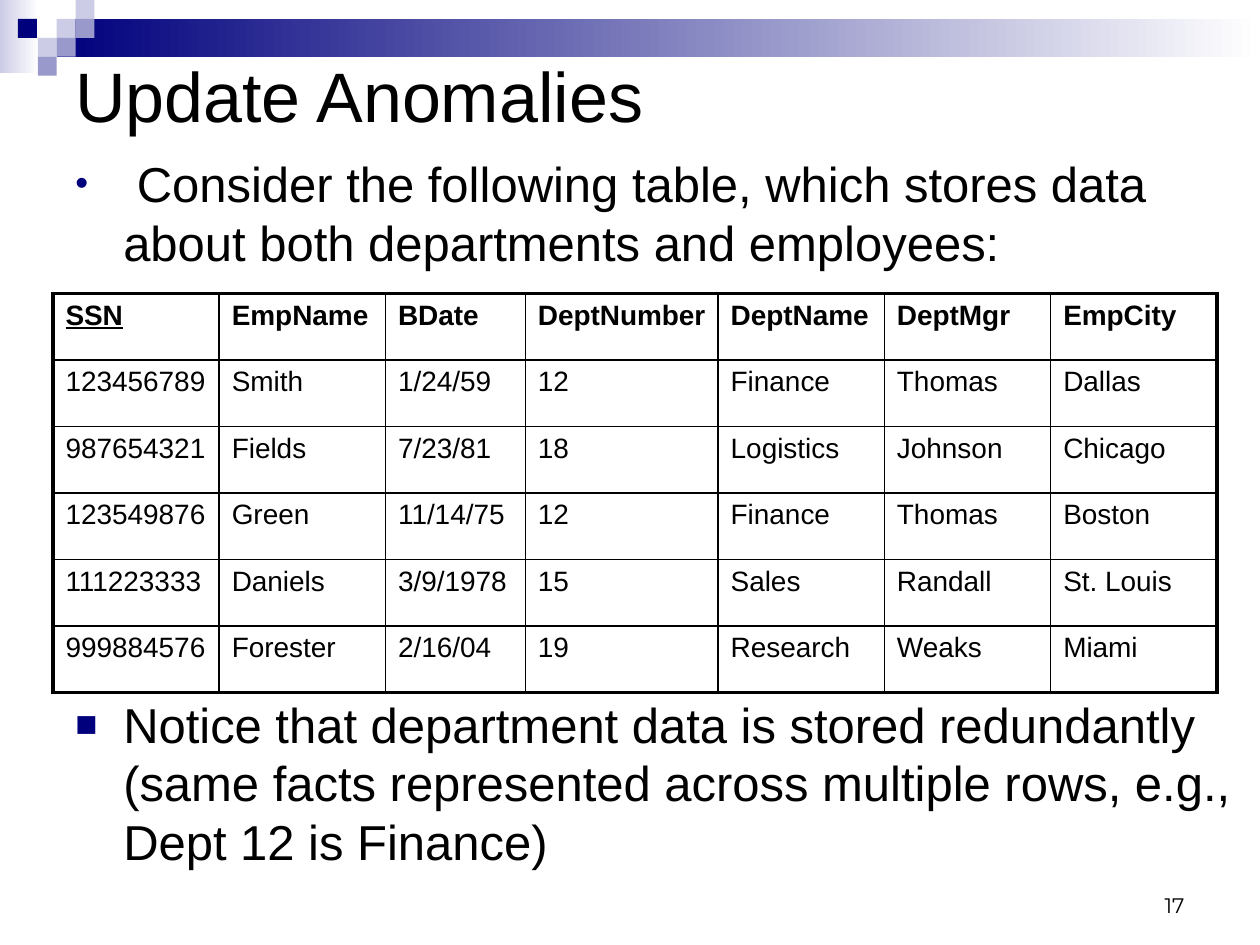
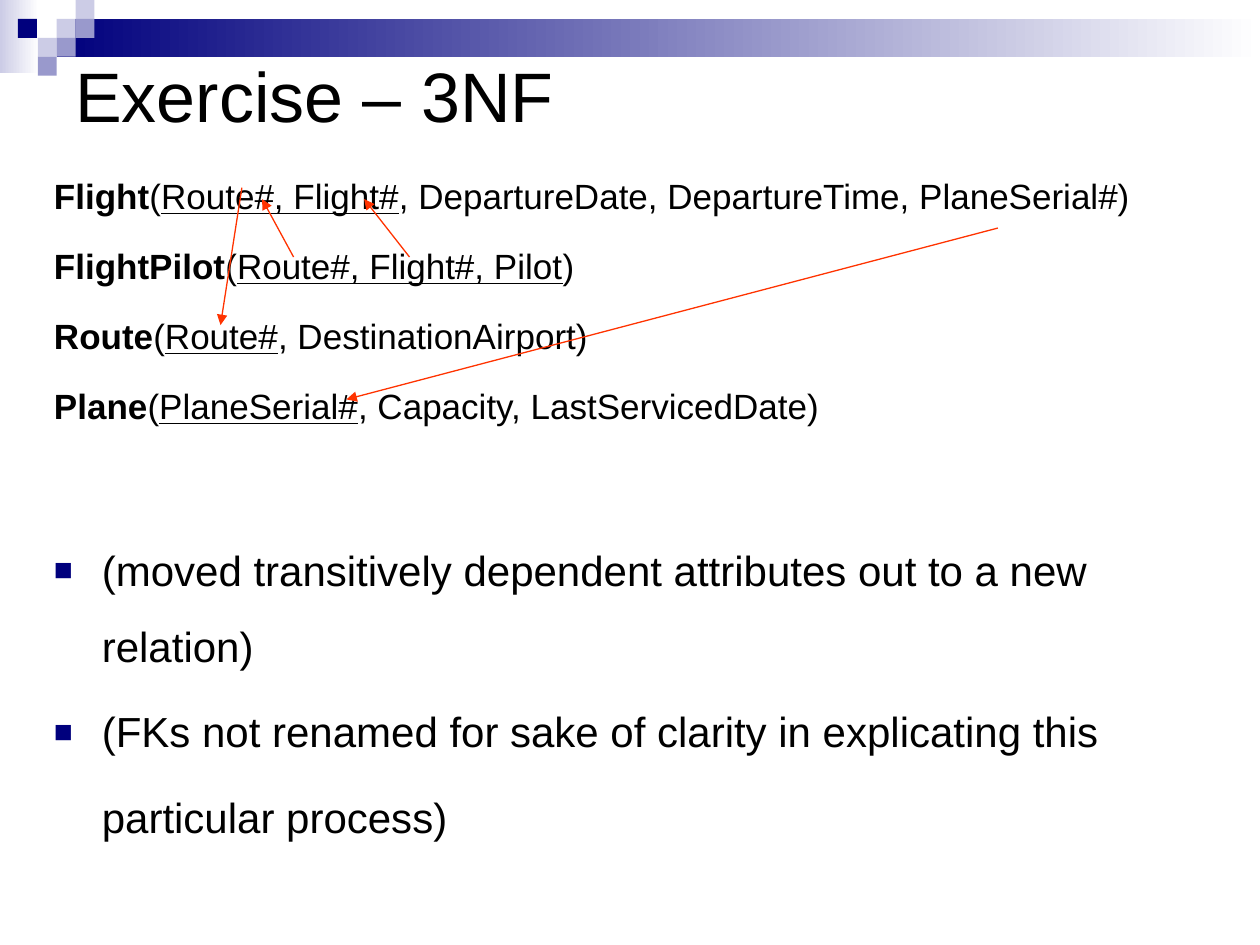
import pptx
import pptx.util
import pptx.dml.color
import pptx.enum.shapes
import pptx.enum.text
import pptx.oxml
import pptx.oxml.ns
from pptx.util import Inches

RGBColor = pptx.dml.color.RGBColor
BLACK = RGBColor(0, 0, 0)
WHITE = RGBColor(0xFF, 0xFF, 0xFF)
NAVY = RGBColor(0x00, 0x00, 0x7D)
LAVENDER = RGBColor(0x99, 0x99, 0xCC)
PALE = RGBColor(0xCC, 0xCC, 0xE6)
ARROW_RED = RGBColor(0xFF, 0x33, 0x00)

FONT = "Arial"
NUMBER_FONT = "Montserrat"
ANCHOR = pptx.enum.text.MSO_ANCHOR
ALIGN = pptx.enum.text.PP_ALIGN
TILE = 0.15
HANGING = Inches(0.38)


def add_element(parent, tag, **attributes):
    element = pptx.oxml.parse_xml(f"<a:{tag} {pptx.oxml.ns.nsdecls('a')}/>")
    for name, value in attributes.items():
        element.set(name, str(value))
    parent.append(element)
    return element


# ---- Text ----
def add_text_box(page, box, anchor=ANCHOR.TOP):
    frame = page.shapes.add_textbox(*map(Inches, box)).text_frame
    frame.word_wrap = True
    frame.vertical_anchor = anchor
    return frame


def add_paragraph(frame, first=False, line=None, before=0):
    para = frame.paragraphs[0] if first else frame.add_paragraph()
    para.space_before = pptx.util.Pt(before)
    if line:
        para.line_spacing = pptx.util.Pt(line)
    return para


def add_span(para, text, size, bold=False, underline=False, font=FONT):
    span = para.add_run()
    span.text = text
    span.font.size = pptx.util.Pt(size)
    span.font.name = font
    span.font.bold = bold
    span.font.underline = underline
    span.font.color.rgb = BLACK


def set_bullet(para, mark):
    properties = para._p.get_or_add_pPr()
    properties.set("marL", str(HANGING))
    properties.set("indent", str(-HANGING))
    color = add_element(properties, "buClr")
    add_element(color, "srgbClr", val=NAVY)
    add_element(properties, "buSzPct", val=75000)
    add_element(properties, "buFont", typeface=FONT)
    add_element(properties, "buChar", char=mark)


# ---- Shared header, title and page number ----
def add_block(page, box, *colors):
    block = page.shapes.add_shape(
        pptx.enum.shapes.MSO_SHAPE.RECTANGLE, *map(Inches, box))
    block.shadow.inherit = False
    block.line.fill.background()
    if len(colors) == 1:
        block.fill.solid()
        block.fill.fore_color.rgb = colors[0]
        return
    block.fill.gradient()
    block.fill.gradient_angle = 0
    for stop, position, color in zip(block.fill.gradient_stops, (0, 1), colors):
        stop.position = position
        stop.color.rgb = color


def add_header(page):
    add_block(page, (0, 0, 0.31, 0.58), PALE, WHITE)
    add_block(page, (0.45, TILE, 9.55, 2 * TILE), NAVY, WHITE)
    # Mosaic tiles as column, row and colour
    tiles = [(3, 1, PALE), (4, 0, PALE), (4, 1, LAVENDER), (2, 2, PALE),
             (0.95, 1, NAVY), (3, 2, LAVENDER), (2, 3, LAVENDER)]
    for column, row, color in tiles:
        add_block(page, (column * TILE, row * TILE, TILE, TILE), color)


def add_page(deck, title):
    page = deck.slides.add_slide(deck.slide_layouts[6])
    add_header(page)
    frame = add_text_box(page, (0.5, 0.5, 9, 0.5), ANCHOR.MIDDLE)
    add_span(add_paragraph(frame, first=True, line=48), title, 40)
    return page


def add_page_number(page, number):
    frame = add_text_box(page, (7.17, 6.83, 2.33, 0.5), ANCHOR.BOTTOM)
    para = add_paragraph(frame, first=True)
    para.alignment = ALIGN.RIGHT
    add_span(para, str(number), 12, font=NUMBER_FONT)


# ---- Employee table ----
def set_borders(cell, widths):
    properties = cell._tc.get_or_add_tcPr()
    for index, (side, width) in enumerate(widths.items()):
        line = pptx.oxml.parse_xml(
            f"<a:{side} {pptx.oxml.ns.nsdecls('a')} w='{pptx.util.Pt(width)}'>"
            f"<a:solidFill><a:srgbClr val='{BLACK}'/></a:solidFill></a:{side}>")
        properties.insert(index, line)


def add_employee_table(page, box, widths, rows):
    graphic = page.shapes.add_table(len(rows), len(widths), *map(Inches, box))
    table = graphic.table
    table.horz_banding = False
    for column, width in zip(table.columns, widths):
        column.width = Inches(width)
    last_row, last_column = len(rows) - 1, len(widths) - 1
    for r, values in enumerate(rows):
        table.rows[r].height = Inches(box[3] / len(rows))
        for c, value in enumerate(values):
            cell = table.cell(r, c)
            cell.fill.background()
            para = add_paragraph(cell.text_frame, first=True)
            add_span(para, value, 16, bold=r == 0, underline=r == c == 0)
            outer = {"lnL": c == 0, "lnR": c == last_column,
                     "lnT": r == 0, "lnB": r == last_row}
            set_borders(cell, {side: 2.25 if edge else 1
                               for side, edge in outer.items()})


def add_bullet_box(page, box, mark, text):
    para = add_paragraph(add_text_box(page, box), first=True, line=33.6)
    set_bullet(para, mark)
    add_span(para, text, 28)


def build_anomalies(deck):
    page = add_page(deck, "Update Anomalies")
    add_bullet_box(page, (0.5, 1.17, 9.42, 1.1), "•",
                   " Consider the following table, which stores data "
                   "about both departments and employees:")
    add_bullet_box(page, (0.5, 5.46, 9.42, 1.5), "■",
                   "Notice that department data is stored redundantly (same facts "
                   "represented across multiple rows, e.g., Dept 12 is Finance)")
    add_page_number(page, 17)
    rows = [
        ("SSN", "EmpName", "BDate", "DeptNumber", "DeptName", "DeptMgr", "EmpCity"),
        ("123456789", "Smith", "1/24/59", "12", "Finance", "Thomas", "Dallas"),
        ("987654321", "Fields", "7/23/81", "18", "Logistics", "Johnson", "Chicago"),
        ("123549876", "Green", "11/14/75", "12", "Finance", "Thomas", "Boston"),
        ("111223333", "Daniels", "3/9/1978", "15", "Sales", "Randall", "St. Louis"),
        ("999884576", "Forester", "2/16/04", "19", "Research", "Weaks", "Miami"),
    ]
    widths = (1.32, 1.32, 1.11, 1.53, 1.32, 1.32, 1.32)
    add_employee_table(page, (0.42, 2.33, 9.25, 3.17), widths, rows)


# ---- Relations and foreign keys ----
def add_relations(page, box, relations, remarks):
    frame = add_text_box(page, box)
    for index, (name, key, others) in enumerate(relations):
        para = add_paragraph(frame, index == 0, line=36, before=4 if index else 0)
        add_span(para, name, 20, bold=True)
        add_span(para, "(", 20)
        add_span(para, key, 20, underline=True)
        add_span(para, others + ")", 20)
    for text, line, before in remarks:
        para = add_paragraph(frame, line=line, before=before)
        set_bullet(para, "■")
        add_span(para, text, 24)


def add_arrow(page, start, end):
    arrow = page.shapes.add_connector(
        pptx.enum.shapes.MSO_CONNECTOR.STRAIGHT, *map(Inches, start + end))
    arrow.line.color.rgb = ARROW_RED
    arrow.line.width = pptx.util.Pt(0.75)
    add_element(arrow.line._get_or_add_ln(), "tailEnd", type="triangle")
    add_element(arrow._element.spPr, "effectLst")


def build_exercise(deck):
    page = add_page(deck, "Exercise – 3NF")
    relations = [
        ("Flight", "Route#, Flight#", ", DepartureDate, DepartureTime, PlaneSerial#"),
        ("FlightPilot", "Route#, Flight#, Pilot", ""),
        ("Route", "Route#", ", DestinationAirport"),
        ("Plane", "PlaneSerial#", ", Capacity, LastServicedDate"),
    ]
    # Remarks as text, line spacing and space before
    remarks = [
        ("(moved transitively dependent attributes out to a new relation)", 43.2, 53),
        ("(FKs not renamed for sake of clarity in explicating this "
         "particular process)", 49, 0),
    ]
    add_relations(page, (0.33, 1.17, 9.58, 4.25), relations, remarks)
    # Arrows from foreign key to referenced key
    for start, end in [((3.25, 2.04), (2.89, 1.58)), ((2.33, 2.04), (2.08, 1.58)),
                       ((1.92, 1.49), (1.75, 2.58)), ((7.92, 1.81), (2.75, 3.17))]:
        add_arrow(page, start, end)


deck = pptx.Presentation()
deck.slide_width = Inches(10)
deck.slide_height = Inches(7.5)
build_anomalies(deck)
build_exercise(deck)
deck.save("out.pptx")
